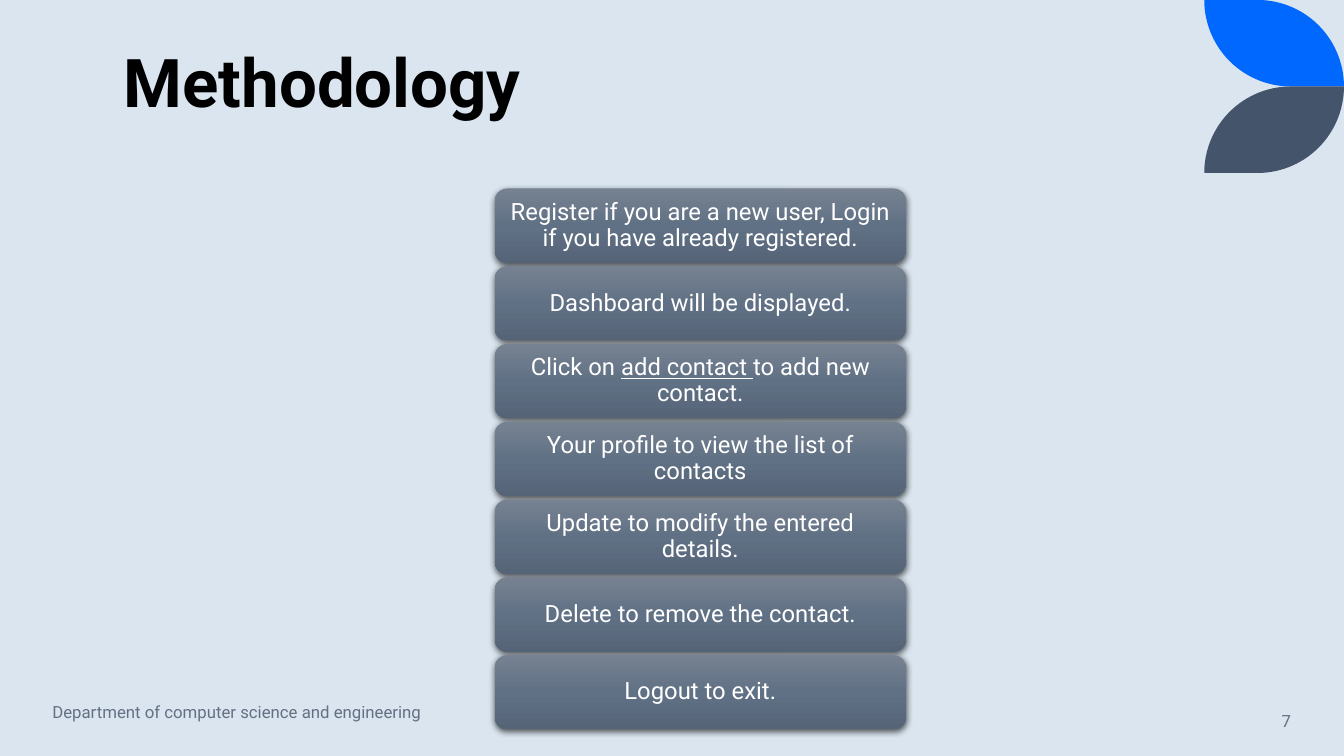
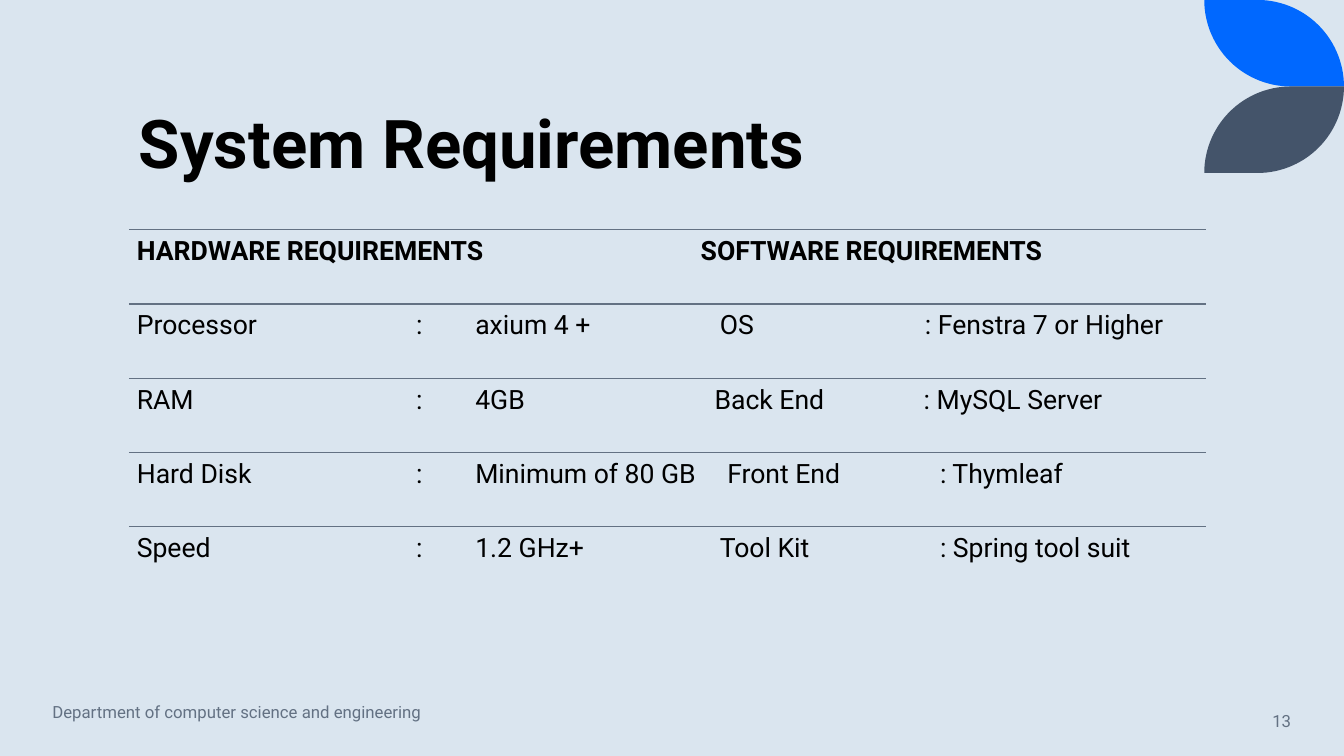
from dataclasses import dataclass
from math import cos, radians, sin

from lxml import etree
from pptx import Presentation
from pptx.dml.color import RGBColor
from pptx.enum.shapes import MSO_CONNECTOR, MSO_SHAPE
from pptx.enum.text import MSO_ANCHOR, MSO_AUTO_SIZE, PP_ALIGN
from pptx.oxml.ns import qn
from pptx.presentation import Presentation as PresentationType
from pptx.shapes.autoshape import Shape
from pptx.slide import Slide
from pptx.text.text import TextFrame
from pptx.util import Cm, Pt

ROUNDED = MSO_SHAPE.ROUNDED_RECTANGLE
STRAIGHT = MSO_CONNECTOR.STRAIGHT
LEFT, CENTER, RIGHT = PP_ALIGN.LEFT, PP_ALIGN.CENTER, PP_ALIGN.RIGHT
TOP, MIDDLE, BOTTOM = MSO_ANCHOR.TOP, MSO_ANCHOR.MIDDLE, MSO_ANCHOR.BOTTOM

FONT = "Roboto"
COLORS = {
    "background": "DAE5EF",
    "blue": "0068FF",
    "slate": "44546A",
    "muted": "637183",
    "text": "000000",
    "white": "FFFFFF",
    "shadow": "000000",
}
STEP_GRADIENT = ((0, "768291"), (50, "617185"), (100, "556477"))

SLIDE_WIDTH, SLIDE_HEIGHT = 33.87, 19.05
LEAF_WIDTH, LEAF_HEIGHT = 3.52, 2.18
TITLE_ONLY_LAYOUT = 5
DEPARTMENT = "Department of computer science and engineering"


@dataclass(frozen=True)
class Box:
    """A rectangle in centimetres."""

    left: float
    top: float
    width: float
    height: float

    def lengths(self) -> tuple[Cm, Cm, Cm, Cm]:
        return Cm(self.left), Cm(self.top), Cm(self.width), Cm(self.height)


@dataclass(frozen=True)
class TextStyle:
    size: float
    color: str
    align: PP_ALIGN = LEFT
    anchor: MSO_ANCHOR = MIDDLE
    bold: bool = False
    line_spacing: float = 1.0
    margins: tuple[float, float] = (0.25, 0.13)


@dataclass(frozen=True)
class Step:
    text: str
    underlined: str = ""
    ending: str = ""


@dataclass(frozen=True)
class RequirementRow:
    """Texts of one row, with a tab stop in centimetres before each but the first."""

    texts: tuple[str, ...]
    tab_stops: tuple[float, ...]
    bold: bool = False


TITLE_STYLE = TextStyle(48, "text", anchor=BOTTOM, bold=True, line_spacing=0.9)
FOOTER_STYLE = TextStyle(12, "muted")
NUMBER_STYLE = TextStyle(12, "muted", align=RIGHT)
STEP_STYLE = TextStyle(17, "white", align=CENTER, line_spacing=0.9, margins=(0.18, 0.1))

STEPS = (
    Step("Register if you are a new user, Login if you have already registered."),
    Step("Dashboard will be displayed."),
    Step("Click on ", "add contact ", "to add new contact."),
    Step("Your profile to view the list of contacts"),
    Step("Update to modify the entered details."),
    Step("Delete to remove the contact."),
    Step("Logout to exit."),
)
FIRST_STEP = Box(12.47, 4.75, 10.36, 1.87)
STEP_PITCH = 1.96

COLON, VALUE = 7.04, 8.53
REQUIREMENTS = (
    RequirementRow(("HARDWARE REQUIREMENTS", "SOFTWARE REQUIREMENTS"), (14.21,), bold=True),
    RequirementRow(("Processor", ":", "axium 4 +", "OS", ": Fenstra 7 or Higher"),
                   (COLON, VALUE, 14.69, 19.86)),
    RequirementRow(("RAM", ":", "4GB", "Back End", ": MySQL Server"),
                   (COLON, VALUE, 14.56, 19.83)),
    RequirementRow(("Hard Disk", ":", "Minimum of 80 GB", "Front End", ": Thymleaf"),
                   (COLON, VALUE, 14.88, 20.24)),
    RequirementRow(("Speed", ":", "1.2 GHz+", "Tool Kit", ": Spring tool suit"),
                   (COLON, VALUE, 14.69, 20.24)),
)
FIRST_ROW = Box(3.25, 5.79, 27.15, 1.87)


def rgb(name: str) -> RGBColor:
    return RGBColor.from_string(COLORS[name])


def style_text(frame: TextFrame, style: TextStyle) -> None:
    frame.word_wrap = True
    frame.auto_size = MSO_AUTO_SIZE.NONE
    frame.vertical_anchor = style.anchor
    horizontal, vertical = style.margins
    frame.margin_left = frame.margin_right = Cm(horizontal)
    frame.margin_top = frame.margin_bottom = Cm(vertical)
    for paragraph in frame.paragraphs:
        paragraph.alignment = style.align
        paragraph.line_spacing = style.line_spacing
        font = paragraph.font
        font.name, font.size, font.bold = FONT, Pt(style.size), style.bold
        font.color.rgb = rgb(style.color)


def add_text(slide: Slide, box: Box, text: str, style: TextStyle) -> None:
    frame = slide.shapes.add_textbox(*box.lengths()).text_frame
    frame.text = text
    style_text(frame, style)


def add_leaf(slide: Slide, top: float, color: str, flipped: bool = False) -> None:
    """Draw two quarter circles that meet at opposite corners."""
    radius = LEAF_HEIGHT
    angles = [radians(degree) for degree in range(0, 91, 3)]
    points = [(0.0, 0.0)]
    points += [(LEAF_WIDTH - radius + radius * sin(angle), radius - radius * cos(angle))
               for angle in angles]
    points += [(radius - radius * sin(angle), radius * cos(angle)) for angle in angles]
    left = SLIDE_WIDTH - LEAF_WIDTH
    corners = [(Cm(left + x), Cm(top + (radius - y if flipped else y))) for x, y in points]
    builder = slide.shapes.build_freeform(*corners[0])
    builder.add_line_segments(corners[1:])
    leaf = builder.convert_to_shape()
    leaf.shadow.inherit = False
    leaf.fill.solid()
    leaf.fill.fore_color.rgb = rgb(color)
    leaf.line.fill.background()


def add_base_slide(presentation: PresentationType, title: str, title_box: Box,
                   number: int) -> Slide:
    """Add a slide with its leaves, title, footer and number."""
    slide = presentation.slides.add_slide(presentation.slide_layouts[TITLE_ONLY_LAYOUT])
    add_leaf(slide, 0, "blue")
    add_leaf(slide, LEAF_HEIGHT, "slate", flipped=True)
    heading = slide.shapes.title
    heading.left, heading.top, heading.width, heading.height = title_box.lengths()
    heading.text_frame.text = title
    style_text(heading.text_frame, TITLE_STYLE)
    add_text(slide, Box(1.07, 17.65, 10.74, 0.58), DEPARTMENT, FOOTER_STYLE)
    add_text(slide, Box(28.19, 17.65, 4.6, 1.02), str(number), NUMBER_STYLE)
    return slide


def add_color(parent: etree._Element, color: str) -> etree._Element:
    return etree.SubElement(parent, qn("a:srgbClr"), val=color)


def shade_step(shape: Shape) -> None:
    """Give a step its three-stop gradient and soft shadow."""
    shape.fill.gradient()
    shape.fill.gradient_angle = 270
    properties = shape.element.spPr
    stops = properties.find(".//" + qn("a:gsLst"))
    for stop in list(stops):
        stops.remove(stop)
    for percent, color in STEP_GRADIENT:
        add_color(etree.SubElement(stops, qn("a:gs"), pos=str(percent * 1000)), color)
    shape.line.fill.background()
    shape.shadow.inherit = False
    shadow = etree.SubElement(
        properties.find(qn("a:effectLst")), qn("a:outerShdw"),
        blurRad=str(Pt(4.5)), dist=str(Pt(1.5)), dir="5400000", algn="ctr", rotWithShape="0")
    etree.SubElement(add_color(shadow, COLORS["shadow"]), qn("a:alpha"), val="63000")


def add_step(slide: Slide, box: Box, step: Step) -> None:
    shape = slide.shapes.add_shape(ROUNDED, *box.lengths())
    shade_step(shape)
    paragraph = shape.text_frame.paragraphs[0]
    for text in filter(None, (step.text, step.underlined, step.ending)):
        run = paragraph.add_run()
        run.text = text
        if text == step.underlined:
            run.font.underline = True
    style_text(shape.text_frame, STEP_STYLE)


def add_rule(slide: Slide, left: float, right: float, top: float) -> None:
    rule = slide.shapes.add_connector(STRAIGHT, Cm(left), Cm(top), Cm(right), Cm(top))
    rule.line.color.rgb = rgb("muted")
    rule.line.width = Pt(1)
    etree.SubElement(rule.element.spPr, qn("a:effectLst"))


def add_requirement(slide: Slide, box: Box, row: RequirementRow) -> None:
    add_rule(slide, box.left, box.left + box.width, box.top)
    frame = slide.shapes.add_textbox(*box.lengths()).text_frame
    paragraph = frame.paragraphs[0]
    paragraph.text = "\t".join(row.texts)
    tabs = etree.SubElement(paragraph._p.get_or_add_pPr(), qn("a:tabLst"))
    for position in row.tab_stops:
        etree.SubElement(tabs, qn("a:tab"), pos=str(Cm(position)), algn="l")
    style_text(frame, TextStyle(19, "text", anchor=TOP, bold=row.bold,
                                line_spacing=0.9, margins=(0.2, 0.2)))


def stacked(first: Box, pitch: float, index: int) -> Box:
    return Box(first.left, first.top + index * pitch, first.width, first.height)


def add_methodology(presentation: PresentationType) -> None:
    slide = add_base_slide(presentation, "Methodology", Box(2.87, 0.71, 27.15, 2.49), 7)
    for index, step in enumerate(STEPS):
        add_step(slide, stacked(FIRST_STEP, STEP_PITCH, index), step)


def add_system_requirements(presentation: PresentationType) -> None:
    slide = add_base_slide(presentation, "System Requirements",
                           Box(3.25, 1.07, 27.15, 3.68), 13)
    for index, row in enumerate(REQUIREMENTS):
        add_requirement(slide, stacked(FIRST_ROW, FIRST_ROW.height, index), row)


def main() -> None:
    presentation = Presentation()
    presentation.slide_width, presentation.slide_height = Cm(SLIDE_WIDTH), Cm(SLIDE_HEIGHT)
    background = presentation.slide_master.background.fill
    background.solid()
    background.fore_color.rgb = rgb("background")
    add_methodology(presentation)
    add_system_requirements(presentation)
    presentation.save("out.pptx")


if __name__ == "__main__":
    main()
